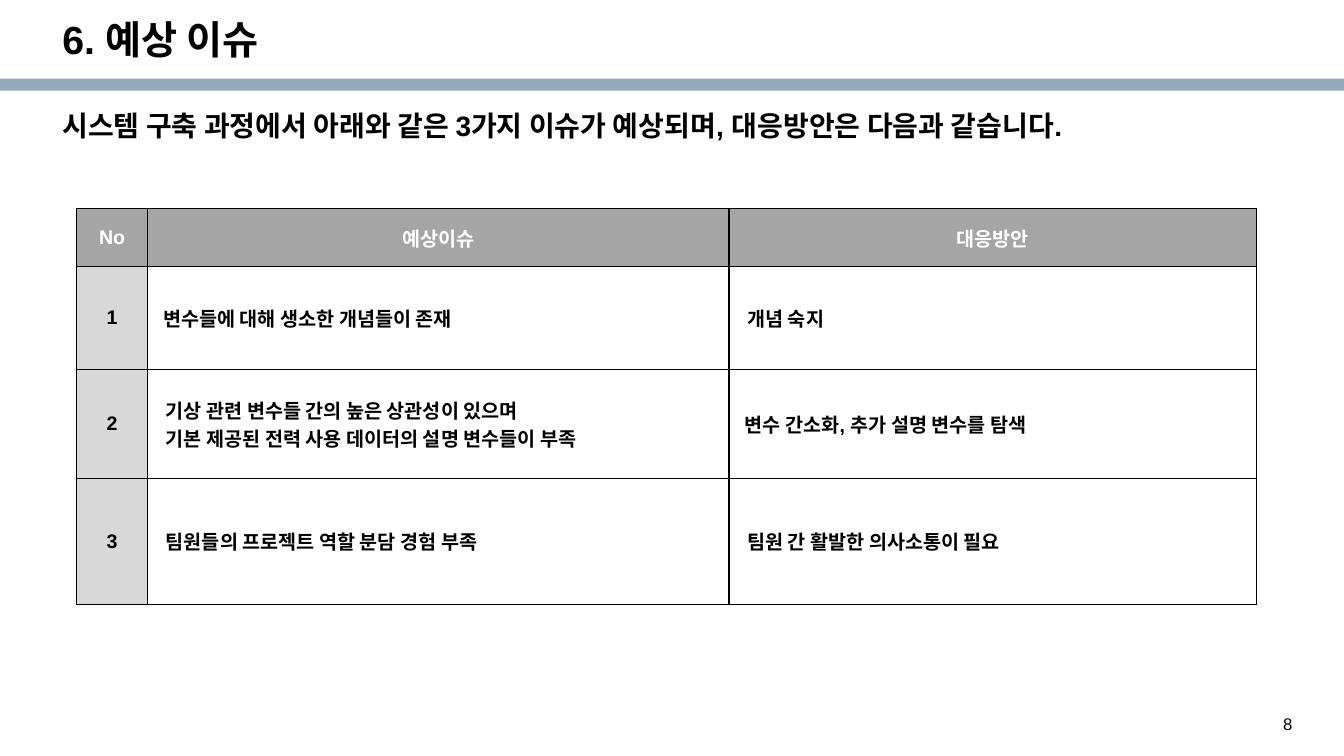
import pptx
import pptx.util
import pptx.dml.color
import pptx.enum.shapes
import pptx.enum.text
import pptx.oxml.ns
import lxml.etree
from dataclasses import dataclass

Pt = pptx.util.Pt
Align = pptx.enum.text.PP_ALIGN
Anchor = pptx.enum.text.MSO_ANCHOR


@dataclass(frozen=True)
class Theme:
    font: str = "Arial"
    ink: str = "000000"
    paper: str = "FFFFFF"
    band: str = "98A8BD"
    header: str = "A5A5A5"
    number: str = "D8D8D8"
    title: int = 28
    lead: int = 20
    table: int = 14
    page_number: int = 12
    border: int = 1


THEME = Theme()
HEADINGS = ["No", "예상이슈", "대응방안"]
ISSUES = [
    (["변수들에 대해 생소한 개념들이 존재"], 4, ["개념 숙지"], 6),
    (["기상 관련 변수들 간의 높은 상관성이 있으며",
      "기본 제공된 전력 사용 데이터의 설명 변수들이 부족"], 6,
     ["변수 간소화, 추가 설명 변수를 탐색"], 4),
    (["팀원들의 프로젝트 역할 분담 경험 부족"], 6,
     ["팀원 간 활발한 의사소통이 필요"], 6),
]


def rgb(value):
    return pptx.dml.color.RGBColor.from_string(value)


def apply(target, values):
    for name, value in values.items():
        setattr(target, name, value)


def write(frame, lines, size, color=THEME.ink, bold=True, **para_format):
    for index, line in enumerate(lines):
        para = frame.add_paragraph() if index else frame.paragraphs[0]
        apply(para, para_format)
        span = para.add_run()
        span.text = line
        apply(span.font, {"name": THEME.font, "size": Pt(size), "bold": bold})
        span.font.color.rgb = rgb(color)


def add_text(page, box, line, size, anchor=Anchor.TOP, **text_format):
    frame = page.shapes.add_textbox(*map(Pt, box)).text_frame
    apply(frame, {"word_wrap": True, "vertical_anchor": anchor})
    write(frame, [line], size, **text_format)


def add_heading(page, box):
    left, top, width, height = box
    band = page.shapes.add_shape(
        pptx.enum.shapes.MSO_SHAPE.RECTANGLE,
        Pt(left), Pt(top + height - 8.64), Pt(width), Pt(8.64))
    band.shadow.inherit = False
    band.fill.solid()
    band.fill.fore_color.rgb = rgb(THEME.band)
    band.line.fill.background()
    add_text(page, (left + 37.44, top + 10.8, 828, 38.16), "6. 예상 이슈",
             THEME.title, Anchor.MIDDLE, line_spacing=0.9)


def add_borders(cell):
    properties = cell._tc.get_or_add_tcPr()
    for position, side in enumerate(("lnL", "lnR", "lnT", "lnB")):
        line = lxml.etree.Element(pptx.oxml.ns.qn("a:" + side),
                                  w=str(int(Pt(THEME.border))))
        fill = lxml.etree.SubElement(line, pptx.oxml.ns.qn("a:solidFill"))
        lxml.etree.SubElement(fill, pptx.oxml.ns.qn("a:srgbClr"), val=THEME.ink)
        properties.insert(position, line)


def fill_cell(cell, lines, fill=None, color=THEME.ink, indent=0,
              align=Align.CENTER):
    apply(cell, {"vertical_anchor": Anchor.MIDDLE,
                 "margin_left": Pt(7.2 + indent), "margin_right": Pt(7.2),
                 "margin_top": Pt(3), "margin_bottom": Pt(3)})
    if fill:
        cell.fill.solid()
        cell.fill.fore_color.rgb = rgb(fill)
    else:
        cell.fill.background()
    add_borders(cell)
    write(cell.text_frame, lines, THEME.table, color, alignment=align)


def add_issue_table(page, box):
    left, top, width, height = box
    column_widths = [50.4, 415.4, width - 465.8]
    row_heights = [41.4, 73.4, 77.8, height - 192.6]
    table = page.shapes.add_table(len(row_heights), len(column_widths),
                                  *map(Pt, box)).table
    apply(table, {"first_row": False, "horz_banding": False})
    for column, size in zip(table.columns, column_widths):
        column.width = Pt(size)
    for row, size in zip(table.rows, row_heights):
        row.height = Pt(size)
    for index, heading in enumerate(HEADINGS):
        fill_cell(table.cell(0, index), [heading], THEME.header, THEME.paper)
    for number, (issue, issue_indent, answer, answer_indent) in enumerate(ISSUES, 1):
        fill_cell(table.cell(number, 0), [str(number)], THEME.number)
        fill_cell(table.cell(number, 1), issue, indent=issue_indent,
                  align=Align.LEFT)
        fill_cell(table.cell(number, 2), answer, indent=answer_indent,
                  align=Align.LEFT)


def main():
    deck = pptx.Presentation()
    apply(deck, {"slide_width": Pt(960), "slide_height": Pt(540)})
    page = deck.slides.add_slide(deck.slide_layouts[6])
    add_heading(page, (0, 0, 960, 64.8))
    add_text(page, (37.44, 76.32, 864.72, 51.12),
             "시스템 구축 과정에서 아래와 같은 3가지 이슈가 예상되며, 대응방안은 다음과 같습니다.",
             THEME.lead, line_spacing=0.9)
    add_issue_table(page, (54.9, 149, 842.4, 282.9))
    add_text(page, (909.36, 507.6, 37.44, 19.44), "8", THEME.page_number,
             Anchor.MIDDLE, bold=False)
    deck.save("out.pptx")


main()
